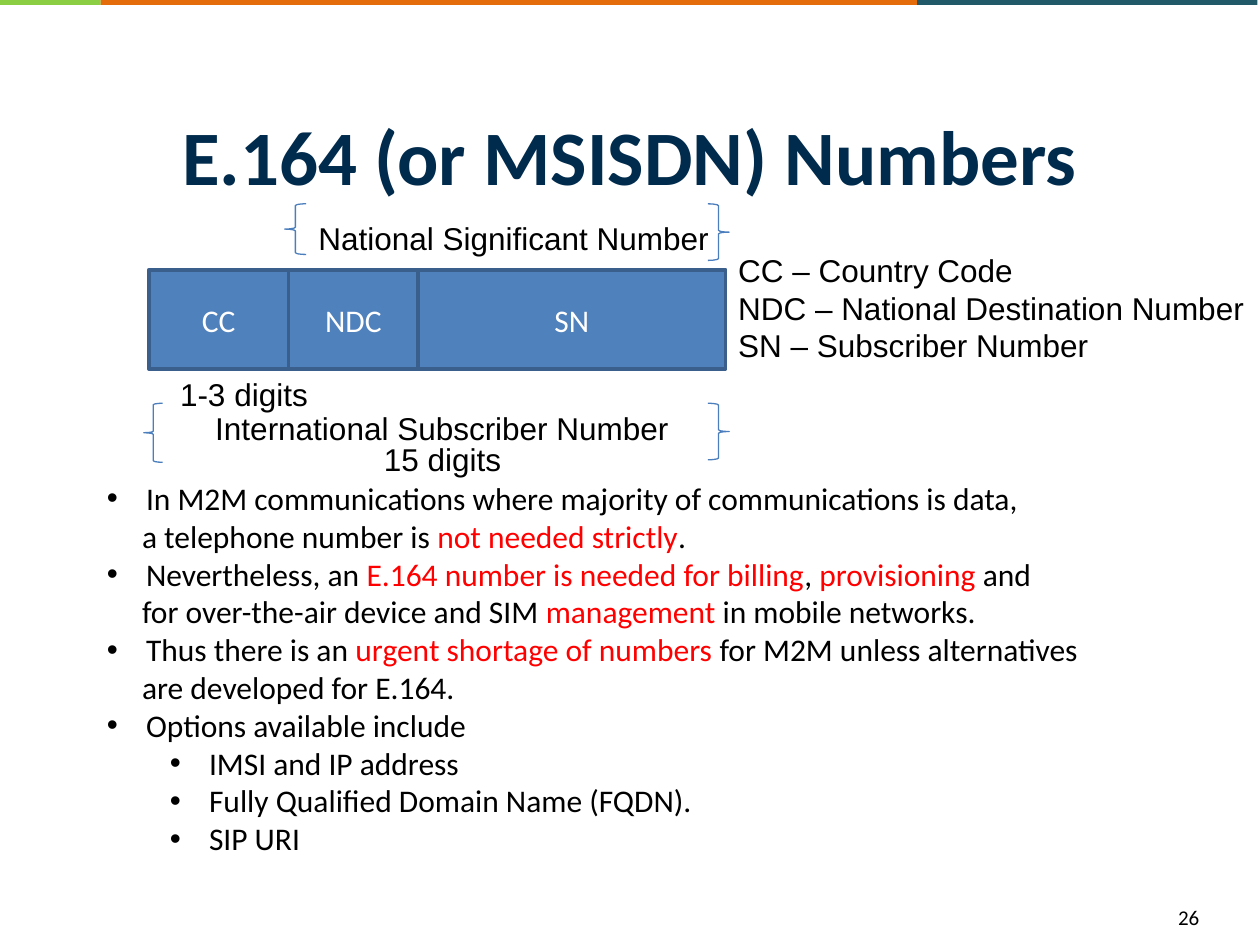
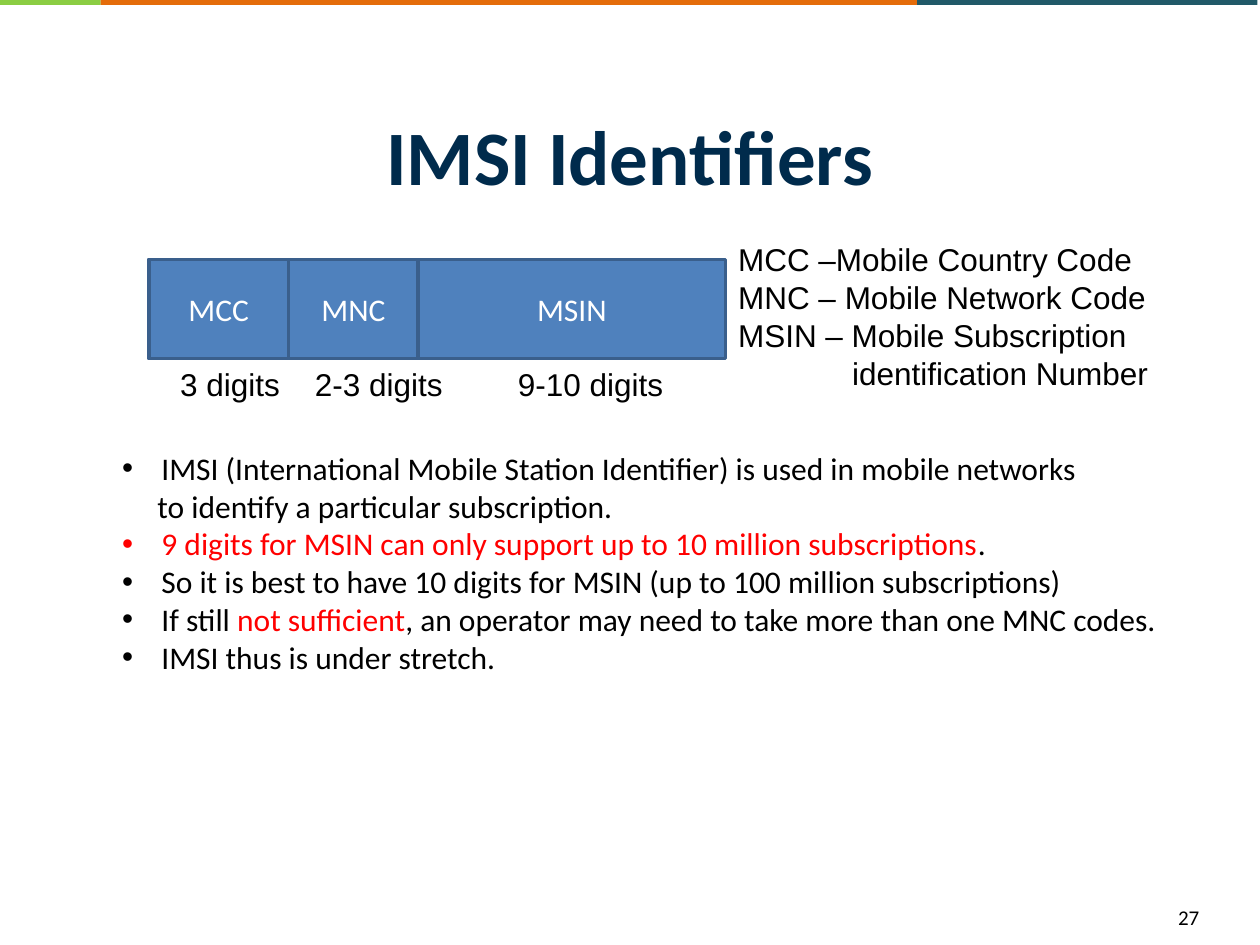
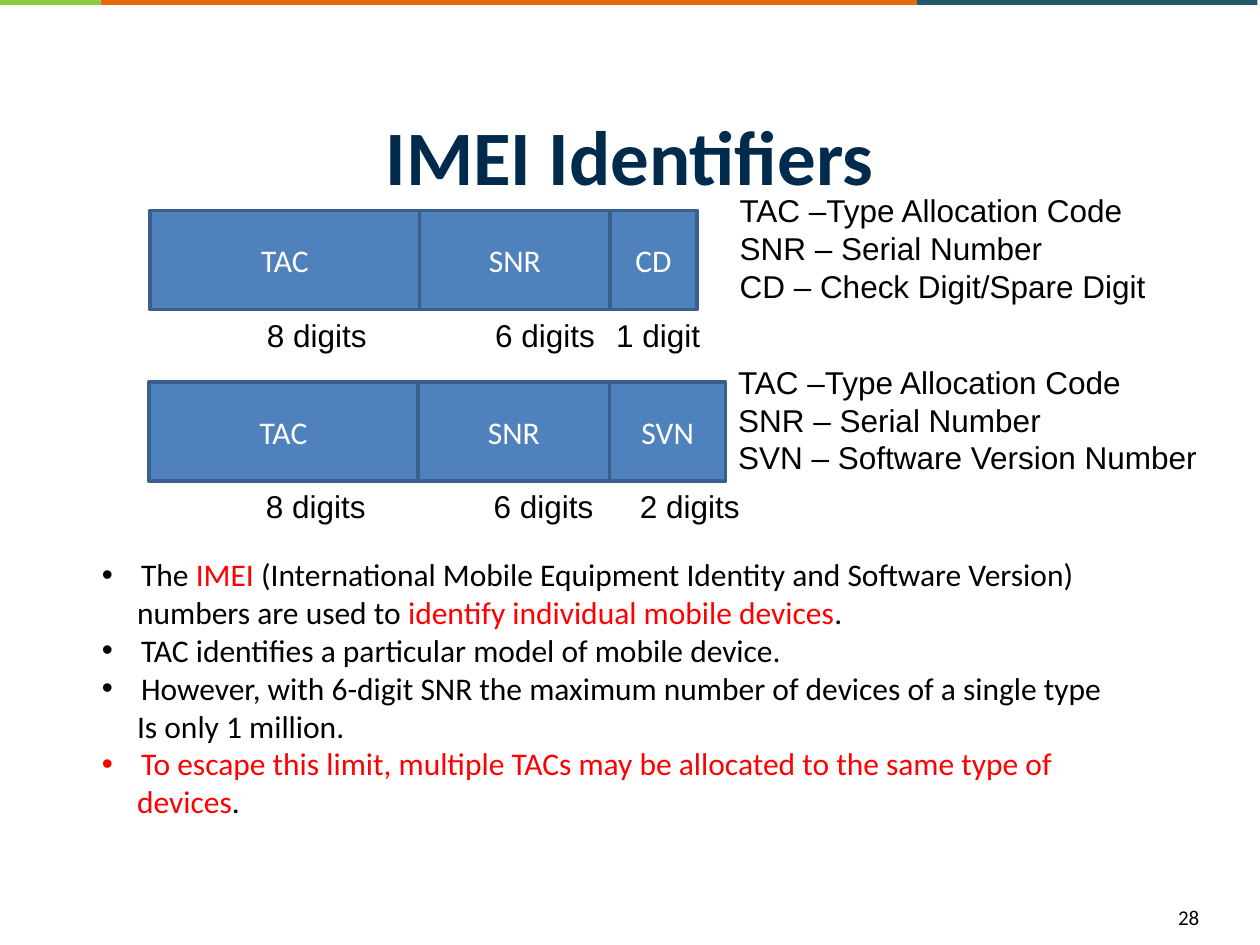
from typing import NamedTuple

from lxml import etree
from pptx import Presentation
from pptx import util as u
from pptx.dml.color import RGBColor
from pptx.enum import shapes, text
from pptx.oxml import ns

NAVY = RGBColor(0x00, 0x2B, 0x4C)
BLACK = RGBColor(0x00, 0x00, 0x00)
WHITE = RGBColor(0xFF, 0xFF, 0xFF)
RED = RGBColor(0xFF, 0x00, 0x00)
GREEN = RGBColor(0x8B, 0xCD, 0x43)
ORANGE = RGBColor(0xE4, 0x6C, 0x0A)
TEAL = RGBColor(0x21, 0x59, 0x68)
FIELD_FILL = RGBColor(0x4F, 0x81, 0xBD)
FIELD_EDGE = RGBColor(0x3A, 0x5F, 0x8C)
BRACE_EDGE = RGBColor(0x4B, 0x7E, 0xBC)

BANDS = [(GREEN, 2.16), (ORANGE, 16.46), (TEAL, 6.86)]
FIELD_HEIGHT = 2.0
LINE_PITCH = u.Pt(21.6)
LEFT_BRACE = shapes.MSO_SHAPE.LEFT_BRACE
RIGHT_BRACE = shapes.MSO_SHAPE.RIGHT_BRACE


class Box(NamedTuple):
    """A place on the slide in centimetres."""
    left: float
    top: float
    width: float
    height: float

    def emu(self) -> list[u.Cm]:
        """Return the four lengths ready for python-pptx."""
        return [u.Cm(length) for length in self]


class Indent(NamedTuple):
    """Left margin and hanging depth of a line in centimetres."""
    margin: float
    hanging: float = 0
    level: int = 0


FLUSH = Indent(0)
BULLET = Indent(0.79, 0.79)
CONTINUED = Indent(0.71)
SUB_BULLET = Indent(2.06, 0.79, 1)
LEGEND_CONTINUED = Indent(2.3)


class Line(NamedTuple):
    """One line of text; every second piece between bars is red."""
    content: str
    indent: Indent = BULLET


class Label(NamedTuple):
    """A short Arial caption."""
    content: str
    left: float
    width: float


class Field(NamedTuple):
    """One part of a number format."""
    name: str
    width: float


class NumberFormat(NamedTuple):
    """A row of fields with its digit counts and legend."""
    left: float
    top: float
    fields: list[Field]
    digits: list[Label]
    legend: list[Line]
    legend_width: float


class Topic(NamedTuple):
    """Content of one slide."""
    title: str
    number: int
    formats: list[NumberFormat]
    points_box: Box
    points: list[Line]


def add_run(paragraph, content: str, size: float, color: RGBColor, font="Calibri", bold=False) -> None:
    """Append one formatted run."""
    run = paragraph.add_run()
    run.text = content
    run.font.name = font
    run.font.size = u.Pt(size)
    run.font.bold = bold
    run.font.color.rgb = color


def write_lines(frame, lines: list[Line], font: str) -> None:
    """Fill a text frame with indented, optionally bulleted lines."""
    frame.word_wrap = False
    frame.auto_size = text.MSO_AUTO_SIZE.SHAPE_TO_FIT_TEXT
    for index, line in enumerate(lines):
        paragraph = frame.paragraphs[0] if index == 0 else frame.add_paragraph()
        paragraph.level = line.indent.level
        paragraph.alignment = text.PP_ALIGN.LEFT
        paragraph.line_spacing = LINE_PITCH
        paragraph.space_before = u.Pt(0)
        properties = paragraph._p.get_or_add_pPr()
        properties.set("marL", str(u.Cm(line.indent.margin)))
        properties.set("indent", str(-u.Cm(line.indent.hanging)))
        if line.indent.hanging:
            etree.SubElement(properties, ns.qn("a:buFont")).set("typeface", "Arial")
            etree.SubElement(properties, ns.qn("a:buChar")).set("char", "•")
        else:
            etree.SubElement(properties, ns.qn("a:buNone"))
        for position, piece in enumerate(line.content.split("|")):
            if piece:
                add_run(paragraph, piece, 18, RED if position % 2 else BLACK, font)


def add_lines(slide, box: Box, lines: list[Line]) -> None:
    """Add an Arial text box."""
    write_lines(slide.shapes.add_textbox(*box.emu()).text_frame, lines, "Arial")


def add_label(slide, label: Label, top: float) -> None:
    """Add a one-line caption."""
    add_lines(slide, Box(label.left, top, label.width, 1.02), [Line(label.content, FLUSH)])


def add_bands(slide) -> None:
    """Draw the coloured strip along the top edge."""
    left = -0.13
    for color, width in BANDS:
        band = slide.shapes.add_shape(shapes.MSO_SHAPE.RECTANGLE, *Box(left, -0.03, width, 0.13).emu())
        band.shadow.inherit = False
        band.fill.solid()
        band.fill.fore_color.rgb = color
        band.line.fill.background()
        left += width


def add_format(slide, row: NumberFormat) -> None:
    """Draw the fields, digit counts and legend of a number format."""
    left = row.left
    for field in row.fields:
        cell = slide.shapes.add_shape(
            shapes.MSO_SHAPE.RECTANGLE, *Box(left, row.top, field.width, FIELD_HEIGHT).emu())
        cell.shadow.inherit = False
        cell.fill.solid()
        cell.fill.fore_color.rgb = FIELD_FILL
        cell.line.color.rgb = FIELD_EDGE
        cell.line.width = u.Pt(2)
        cell.text_frame.vertical_anchor = text.MSO_ANCHOR.MIDDLE
        paragraph = cell.text_frame.paragraphs[0]
        paragraph.alignment = text.PP_ALIGN.CENTER
        add_run(paragraph, field.name, 18, WHITE)
        left += field.width
    for label in row.digits:
        add_label(slide, label, row.top + FIELD_HEIGHT)
    legend_height = 0.26 + 0.76 * len(row.legend)
    add_lines(slide, Box(row.left + 11.63, row.top - 0.51, row.legend_width, legend_height), row.legend)


def add_brace(slide, kind: shapes.MSO_SHAPE, box: Box) -> None:
    """Draw a thin brace."""
    brace = slide.shapes.add_shape(kind, *box.emu())
    brace.shadow.inherit = False
    brace.fill.background()
    brace.line.color.rgb = BRACE_EDGE
    brace.line.width = u.Pt(0.75)


def place(placeholder, box: Box) -> None:
    """Move a placeholder."""
    placeholder.left, placeholder.top, placeholder.width, placeholder.height = box.emu()


def add_topic(deck, topic: Topic):
    """Build a slide and return it."""
    slide = deck.slides.add_slide(deck.slide_layouts[1])
    add_bands(slide)
    title, points = slide.placeholders
    place(title, Box(1.27, 1.73, 22.86, 2.79))
    title.text_frame.vertical_anchor = text.MSO_ANCHOR.MIDDLE
    heading = title.text_frame.paragraphs[0]
    heading.alignment = text.PP_ALIGN.CENTER
    add_run(heading, topic.title, 44, NAVY, bold=True)
    place(points, topic.points_box)
    write_lines(points.text_frame, topic.points, "Calibri")
    for row in topic.formats:
        add_format(slide, row)
    page = slide.shapes.add_textbox(*Box(23.5, 18.11, 1.63, 1.02).emu()).text_frame
    page.word_wrap = True
    add_run(page.paragraphs[0], str(topic.number), 12, BLACK)
    return slide


def legend(*entries: str) -> list[Line]:
    """Make flush legend lines."""
    return [Line(entry, FLUSH) for entry in entries]


E164 = Topic(
    "E.164 (or MSISDN) Numbers", 26,
    [NumberFormat(
        3, 5.44, [Field("CC", 2.82), Field("NDC", 2.61), Field("SN", 6.2)],
        [Label("1-3 digits", 3.38, 3.12)],
        legend("CC – Country Code", "NDC – National Destination Number", "SN – Subscriber Number"), 10.82)],
    Box(1.9, 9.53, 20.32, 8.71),
    [Line("In M2M communications where majority of communications is data,"),
     Line("a telephone number is |not needed strictly|.", CONTINUED),
     Line("Nevertheless, an |E.164 number is needed for billing|, |provisioning| and"),
     Line("for over-the-air device and SIM |management| in mobile networks.", CONTINUED),
     Line("Thus there is an |urgent shortage of numbers |for M2M unless alternatives"),
     Line("are developed for E.164.", CONTINUED),
     Line("Options available include"),
     Line("IMSI and IP address", SUB_BULLET),
     Line("Fully Qualified Domain Name (FQDN).", SUB_BULLET),
     Line("SIP URI", SUB_BULLET)])

IMSI = Topic(
    "IMSI Identifiers", 27,
    [NumberFormat(
        3, 5.23, [Field("MCC", 2.82), Field("MNC", 2.61), Field("MSIN", 6.2)],
        [Label("3 digits", 3.38, 2.54), Label("2-3 digits", 6.1, 3.12), Label("9-10 digits", 10.19, 3.48)],
        legend("MCC –Mobile Country Code", "MNC – Mobile Network Code", "MSIN – Mobile Subscription")
        + [Line("identification Number", LEGEND_CONTINUED)], 8.81)],
    Box(2.21, 8.92, 21.62, 4.88),
    [Line("IMSI (International Mobile Station Identifier) is used in mobile networks"),
     Line("to identify a particular subscription.", CONTINUED),
     Line("|9 digits for MSIN can only support up to 10 million subscriptions|."),
     Line("So it is best to have 10 digits for MSIN (up to 100 million subscriptions)"),
     Line("If still |not sufficient|, an operator may need to take more than one MNC codes."),
     Line("IMSI thus is under stretch.")])

IMEI = Topic(
    "IMEI Identifiers", 28,
    [NumberFormat(
        3, 7.7, [Field("TAC", 5.43), Field("SNR", 3.86), Field("SVN", 2.34)],
        [Label("8 digits", 5.11, 2.54), Label("6 digits", 9.7, 2.54), Label("2 digits", 12.65, 2.54)],
        legend("TAC –Type Allocation Code", "SNR – Serial Number", "SVN – Software Version Number"), 9.86),
     NumberFormat(
        3.03, 4.24, [Field("TAC", 5.43), Field("SNR", 3.84), Field("CD", 1.75)],
        [Label("8 digits", 5.13, 2.54), Label("6 digits", 9.73, 2.54), Label("1 digit", 12.17, 2.24)],
        legend("TAC –Type Allocation Code", "SNR – Serial Number", "CD – Check Digit/Spare Digit"), 8.79)],
    Box(1.8, 11.07, 20.93, 7.19),
    [Line("The |IMEI| (International Mobile Equipment Identity and Software Version)"),
     Line("numbers are used to |identify individual mobile devices|.", CONTINUED),
     Line("TAC identifies a particular model of mobile device."),
     Line("However, with 6-digit SNR the maximum number of devices of a single type"),
     Line("Is only 1 million.", CONTINUED),
     Line("|To escape this limit, multiple TACs may be allocated to the same type of"),
     Line("|devices|.", CONTINUED)])


def main() -> None:
    """Build the deck."""
    deck = Presentation()
    deck.slide_width, deck.slide_height = u.Cm(25.4), u.Cm(19.05)
    e164, _, _ = [add_topic(deck, topic) for topic in (E164, IMSI, IMEI)]
    add_label(e164, Label("National Significant Number", 6.17, 8.46), 4.29)
    add_label(e164, Label("International Subscriber Number", 4.09, 9.73), 8.13)
    add_label(e164, Label("15 digits", 7.49, 2.9), 8.74)
    add_brace(e164, LEFT_BRACE, Box(5.74, 4.11, 0.43, 1.02))
    add_brace(e164, RIGHT_BRACE, Box(14.27, 4.11, 0.43, 1.14))
    add_brace(e164, RIGHT_BRACE, Box(14.27, 8.13, 0.43, 1.14))
    add_brace(e164, LEFT_BRACE, Box(2.9, 8.13, 0.38, 1.19))
    deck.save("out.pptx")


if __name__ == "__main__":
    main()
